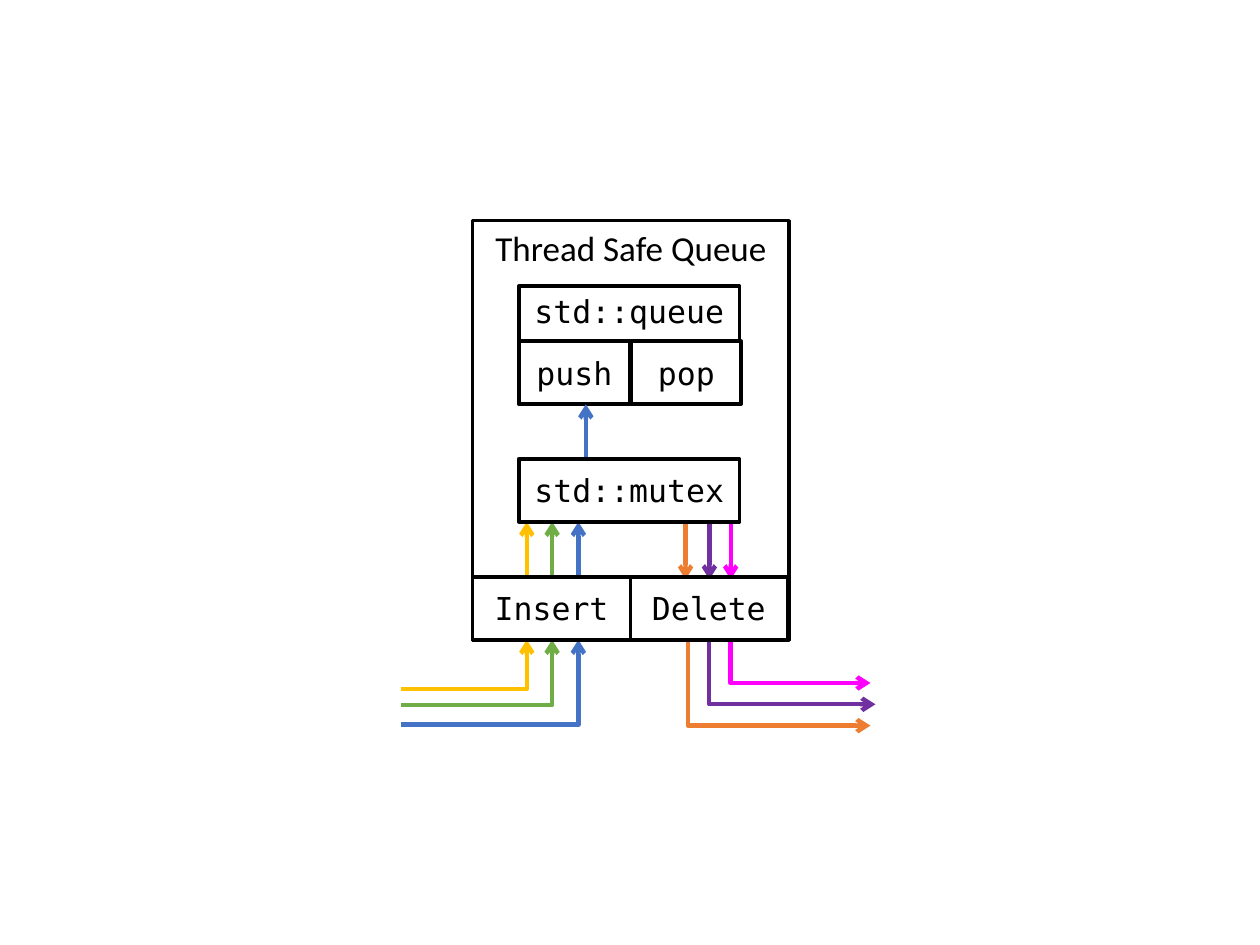
from lxml.etree import SubElement
from pptx import Presentation
from pptx.dml.color import RGBColor
from pptx.enum.shapes import MSO_CONNECTOR, MSO_SHAPE
from pptx.enum.text import MSO_ANCHOR, PP_ALIGN
from pptx.oxml.ns import qn
from pptx.util import Cm, Pt

HUES = {
    "black": "000000", "white": "FFFFFF", "gold": "FFC000", "green": "70AD47",
    "blue": "4472C4", "orange": "ED7D31", "purple": "7030A0", "pink": "FF00FF",
}
MONO = "DejaVu Sans Mono"

deck = Presentation()
deck.slide_width, deck.slide_height = Cm(25.4), Cm(19.05)
slide = deck.slides.add_slide(deck.slide_layouts[6])


def add_box(text, left, top, width, height, anchor=MSO_ANCHOR.MIDDLE,
            font=MONO, size=18, fill="white"):
    box = slide.shapes.add_shape(
        MSO_SHAPE.RECTANGLE, Cm(left), Cm(top), Cm(width), Cm(height))
    box.shadow.inherit = False
    if fill:
        box.fill.solid()
        box.fill.fore_color.rgb = RGBColor.from_string(HUES[fill])
    else:
        box.fill.background()
    box.line.color.rgb = RGBColor.from_string(HUES["black"])
    box.line.width = Pt(2)
    frame = box.text_frame
    frame.vertical_anchor = anchor
    frame.text = text
    para = frame.paragraphs[0]
    para.alignment = PP_ALIGN.CENTER
    run = para.runs[0]
    run.font.name, run.font.size = font, Pt(size)
    run.font.color.rgb = RGBColor.from_string(HUES["black"])


def add_arrow(hue, start, stop, end="tailEnd", bent=False):
    kind = MSO_CONNECTOR.ELBOW if bent else MSO_CONNECTOR.STRAIGHT
    arrow = slide.shapes.add_connector(
        kind, Cm(start[0]), Cm(start[1]), Cm(stop[0]), Cm(stop[1]))
    arrow.line.color.rgb = RGBColor.from_string(HUES[hue])
    arrow.line.width = Pt(2.5)
    props = arrow._element.spPr
    if bent:  # one corner: across, then up
        props.find(qn("a:prstGeom")).set("prst", "bentConnector2")
    SubElement(props.find(qn("a:ln")), qn(f"a:{end}"), type="arrow")
    SubElement(props, qn("a:effectLst"))


# Outer frame and the wrapped queue
add_box("Thread Safe Queue", 9.53, 4.45, 6.38, 8.46, MSO_ANCHOR.TOP,
        "Calibri", 20, None)
add_box("std::queue", 10.46, 5.77, 4.45, 2.36, MSO_ANCHOR.TOP)
add_box("push", 10.46, 6.88, 2.24, 1.27)
add_box("pop", 12.73, 6.88, 2.21, 1.27)

# Mutex to push
add_arrow("blue", (11.81, 9.32), (11.81, 8.15))

# Callers into Insert, then up to the mutex
for hue, x, y in [("gold", 10.62, 13.89), ("green", 11.13, 14.22),
                  ("blue", 11.66, 14.61)]:
    add_arrow(hue, (8.08, y), (x, 12.9), bent=True)
    add_arrow(hue, (x, 11.68), (x, 10.52))

# Mutex down to Delete, then out to callers
for hue, high, low, y, right in [("orange", 13.82, 13.87, 14.63, 17.55),
                                 ("purple", 14.3, 14.3, 14.2, 17.65),
                                 ("pink", 14.73, 14.73, 13.77, 17.55)]:
    add_arrow(hue, (right, y), (low, 12.9), "headEnd", bent=True)
    add_arrow(hue, (high, 11.68), (high, 10.52), "headEnd")

# Operations and lock, over the arrow ends
add_box("Delete", 12.7, 11.63, 3.18, 1.27)
add_box("Insert", 9.53, 11.63, 3.18, 1.27)
add_box("std::mutex", 10.46, 9.25, 4.45, 1.27)

deck.save("out.pptx")
